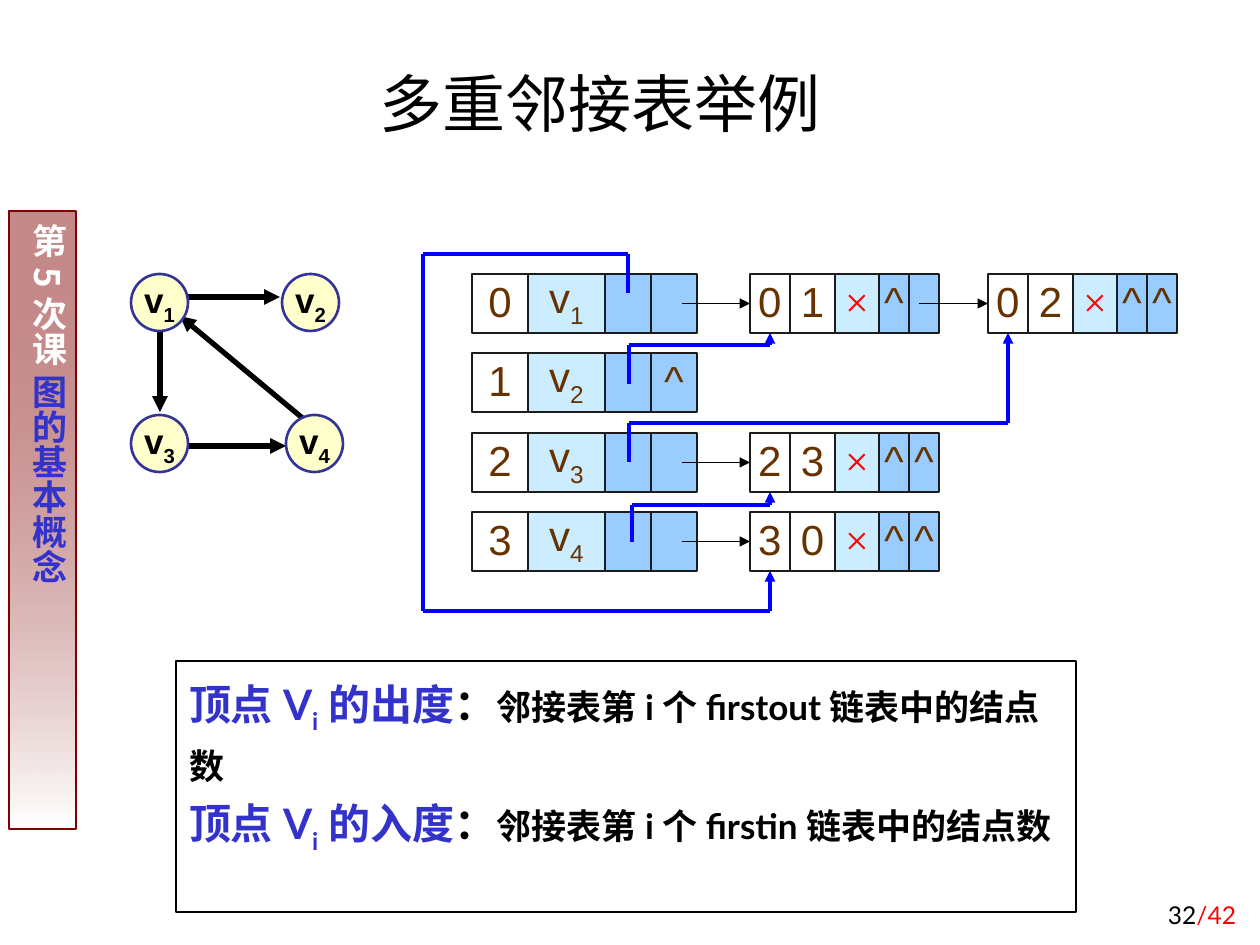
from itertools import pairwise

from lxml.etree import SubElement
from pptx import Presentation
from pptx.dml.color import RGBColor
from pptx.enum.shapes import MSO_CONNECTOR as Connector, MSO_SHAPE as Shape
from pptx.enum.text import MSO_ANCHOR as Anchor, PP_ALIGN as Align
from pptx.oxml.ns import qn
from pptx.util import Pt

SCALE = 914400 / 126
BLACK, RED, BLUE, BROWN = "000000", "FF0000", "3333CC", "663300"
WHITE, PALE, SKY, LINK = "FFFFFF", "CCECFF", "99CCFF", "0000FF"
CJK = "Noto Sans CJK SC"


def px(length):
    return round(length * SCALE)


def color(hex_value):
    return RGBColor.from_string(hex_value)


def prepare_frame(shape, insets, anchor=Anchor.TOP, wrap=True):
    """Set insets (left, top, right, bottom), anchor and wrapping."""
    frame = shape.text_frame
    frame.margin_left, frame.margin_top, frame.margin_right, frame.margin_bottom = map(px, insets)
    frame.vertical_anchor = anchor
    frame.word_wrap = wrap
    return frame


def add_span(para, text, size, hex_value, font="Lato", bold=False, sub=False):
    span = para.add_run()
    span.text = text
    span.font.size = Pt(size)
    span.font.name = font
    span.font.bold = bold
    span.font.color.rgb = color(hex_value)
    properties = span.font._element
    if sub:
        properties.set("baseline", "-25000")
    SubElement(properties, qn("a:ea")).set("typeface", CJK)


def add_outline(page, kind, box, fill, line, width=0.75):
    shape = page.shapes.add_shape(kind, *map(px, box))
    shape.shadow.inherit = False
    if fill:
        shape.fill.solid()
        shape.fill.fore_color.rgb = color(fill)
    else:
        shape.fill.background()
    shape.line.color.rgb = color(line)
    shape.line.width = Pt(width)
    return shape


def add_line(page, start, end, hex_value, width, arrow=False):
    line = page.shapes.add_connector(Connector.STRAIGHT, *map(px, (*start, *end)))
    line.line.color.rgb = color(hex_value)
    line.line.width = Pt(width)
    if arrow:
        SubElement(line.line._get_or_add_ln(), qn("a:tailEnd")).set("type", "triangle")
    SubElement(line._element.spPr, qn("a:effectLst"))
    return line


def add_cell(page, box, fill, text="", sub=""):
    cell = add_outline(page, Shape.RECTANGLE, box, fill, "1C1C1C")
    if text:
        para = prepare_frame(cell, (13, 0, 13, 6), Anchor.MIDDLE, wrap=False).paragraphs[0]
        para.alignment = Align.CENTER
        if text == "×":
            add_span(para, text, 24, RED, "Times New Roman")
        else:
            add_span(para, text, 24, BROWN, "Arial")
        if sub:
            add_span(para, sub, 24, BROWN, "Arial", sub=True)
    return cell


def add_record(page, left, top, widths, fills, texts):
    """Place adjoining cells and return the first; a text is a (text, subscript) tuple."""
    cells = []
    for width, fill, text in zip(widths, fills, texts):
        cells.append(add_cell(page, (left, top, width, 59), fill, *text))
        left += width
    return cells[0]


def draw_sidebar(page, box):
    bar = add_outline(page, Shape.RECTANGLE, box, None, "800000")
    bar.fill.gradient()
    bar.fill.gradient_angle = 270
    for stop, hex_value in zip(bar.fill.gradient_stops, ("800000", WHITE)):
        stop.color.rgb = color(hex_value)
    first = bar._element.spPr.find(".//" + qn("a:srgbClr"))
    SubElement(first, qn("a:alpha")).set("val", "46000")
    frame = prepare_frame(bar, (6, 13, 6, 13))
    frame._txBody.bodyPr.set("vert", "eaVert")
    para = frame.paragraphs[0]
    para.alignment = Align.CENTER
    add_span(para, "第5次课 ", 20, WHITE, CJK, bold=True)
    add_span(para, "图的基本概念", 20, BLUE, CJK, bold=True)


def draw_label(page, box, align, spans):
    """Place one line of (text, size, colour) spans at the foot of the box."""
    label = page.shapes.add_textbox(*map(px, box))
    para = prepare_frame(label, (13, 6, 13, 6), Anchor.BOTTOM).paragraphs[0]
    para.alignment = align
    for span in spans:
        add_span(para, *span)


def draw_degrees(page, box):
    panel = add_outline(page, Shape.RECTANGLE, box, None, BLACK)
    frame = prepare_frame(panel, (13, 6, 13, 6))
    rules = (("的出度", "邻接表第i个firstout链表中的结点数"),
             ("的入度", "邻接表第i个firstin链表中的结点数"))
    for index, (degree, meaning) in enumerate(rules):
        para = frame.add_paragraph() if index else frame.paragraphs[0]
        para.alignment = Align.LEFT
        para.line_spacing = 1.2
        add_span(para, "顶点V", 24, BLUE, bold=True)
        add_span(para, "i", 24, BLUE, bold=True, sub=True)
        add_span(para, degree, 24, BLUE, bold=True)
        add_span(para, "：", 24, BLACK, bold=True)
        add_span(para, meaning, 20, BLACK, bold=True)


def draw_graph(page, left, top):
    vertices = ((0, 0), (151, 0), (0, 141), (155, 141))
    edges = (((29, 57), (29, 138)), ((56, 172), (155, 172)),
             ((56, 23), (149, 23)), ((175, 147), (49, 42)))
    for edge in edges:
        start, end = ((left + x, top + y) for x, y in edge)
        add_line(page, start, end, BLACK, 3, arrow=True)
    for number, (x, y) in enumerate(vertices, 1):
        vertex = add_outline(page, Shape.OVAL, (left + x, top + y, 57, 57), "FFFFCC", "333399", 1.5)
        para = prepare_frame(vertex, (13, 6, 13, 6), Anchor.MIDDLE, wrap=False).paragraphs[0]
        para.alignment = Align.CENTER
        add_span(para, "v", 20, BLACK, "Arial", bold=True)
        add_span(para, str(number), 20, BLACK, "Arial", bold=True, sub=True)


def draw_lists(page, left, top):
    """Draw the vertex records, their arc records and the links between them."""
    row_tops = [top + 20 + row * 159 // 2 for row in range(4)]
    for row, row_top in enumerate(row_tops):
        texts = ((str(row),), ("v", str(row + 1)), (), ("^",) if row == 1 else ())
        add_record(page, left + 49, row_top, (56, 77, 46, 46), (None, PALE, SKY, SKY), texts)

    # row, record left, arrow start, field texts
    arcs = ((0, 327, 259, ("0", "1", "×", "^", "")),
            (0, 565, 496, ("0", "2", "×", "^", "^")),
            (2, 327, 259, ("2", "3", "×", "^", "^")),
            (3, 327, 259, ("3", "0", "×", "^", "^")))
    heads = []
    for row, arc_left, start, fields in arcs:
        head = add_record(page, left + arc_left, row_tops[row], (40, 45, 44, 30, 30),
                          (None, None, PALE, SKY, SKY), [(field,) for field in fields])
        middle = row_tops[row] + 29.5
        arrow = add_line(page, (left + start, middle), (left + arc_left, middle),
                         BLACK, 0.75, arrow=True)
        arrow.end_connect(head, 1)
        heads.append(head)

    # target arc, points from the firstin field to below the target
    links = ((3, ((205, 39), (205, 0), (0, 0), (0, 357), (347, 357))),
             (0, ((206, 130), (206, 91), (347, 91))),
             (1, ((206, 208), (206, 169), (585, 169))),
             (2, ((209, 288), (209, 251), (347, 251))))
    for target, points in links:
        corners = [(left + x, top + y) for x, y in points]
        for start, end in pairwise(corners):
            add_line(page, start, end, LINK, 2)
        x, y = corners[-1]
        riser = add_line(page, (x, y), (x, y - 15), LINK, 2, arrow=True)
        riser.end_connect(heads[target], 2)


def main():
    deck = Presentation()
    deck.slide_width, deck.slide_height = px(1260), px(945)
    page = deck.slides.add_slide(deck.slide_layouts[6])
    draw_sidebar(page, (9, 211, 67, 618))
    draw_label(page, (987, 872, 262, 63), Align.RIGHT, (("32", 14, BLACK), ("/42", 14, RED)))
    draw_label(page, (223, 55, 755, 91), Align.CENTER, (("多重邻接表举例", 36, BLACK),))
    draw_degrees(page, (176, 661, 900, 251))
    draw_graph(page, 131, 274)
    draw_lists(page, 423, 254)
    deck.save("out.pptx")


if __name__ == "__main__":
    main()
